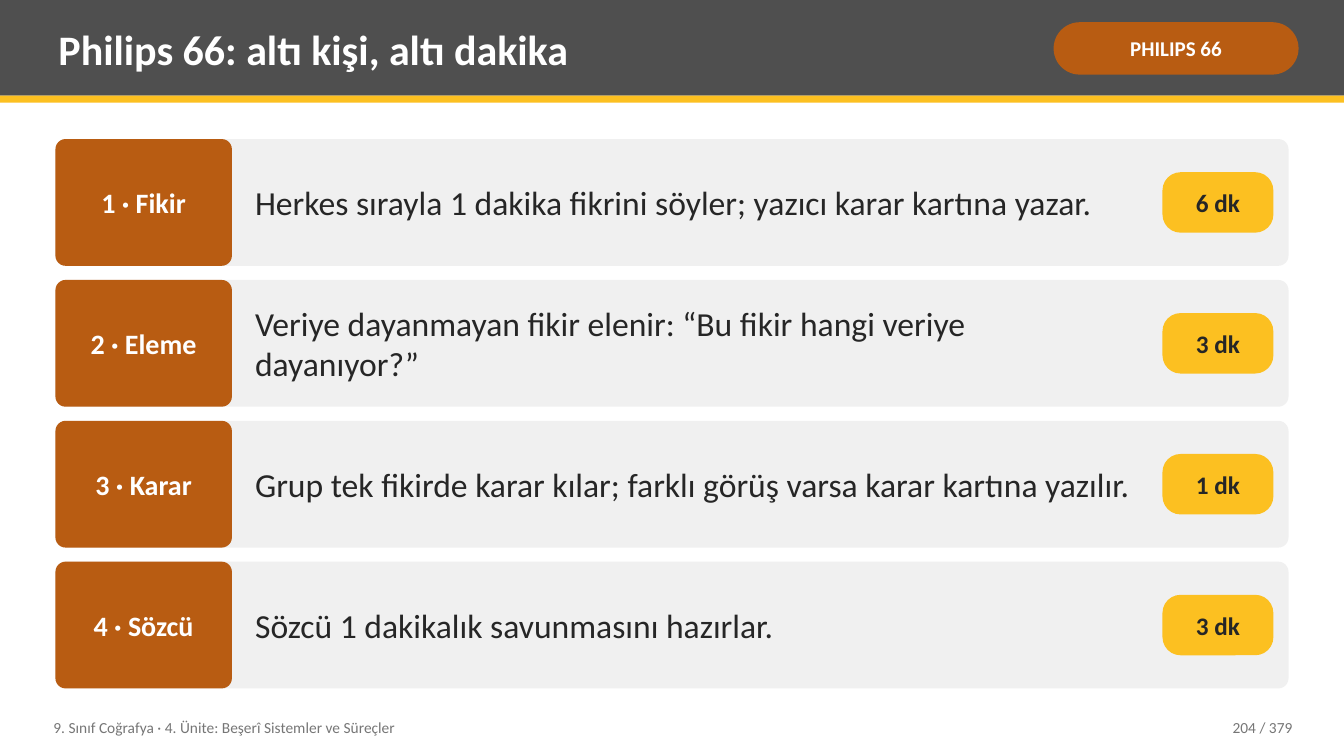
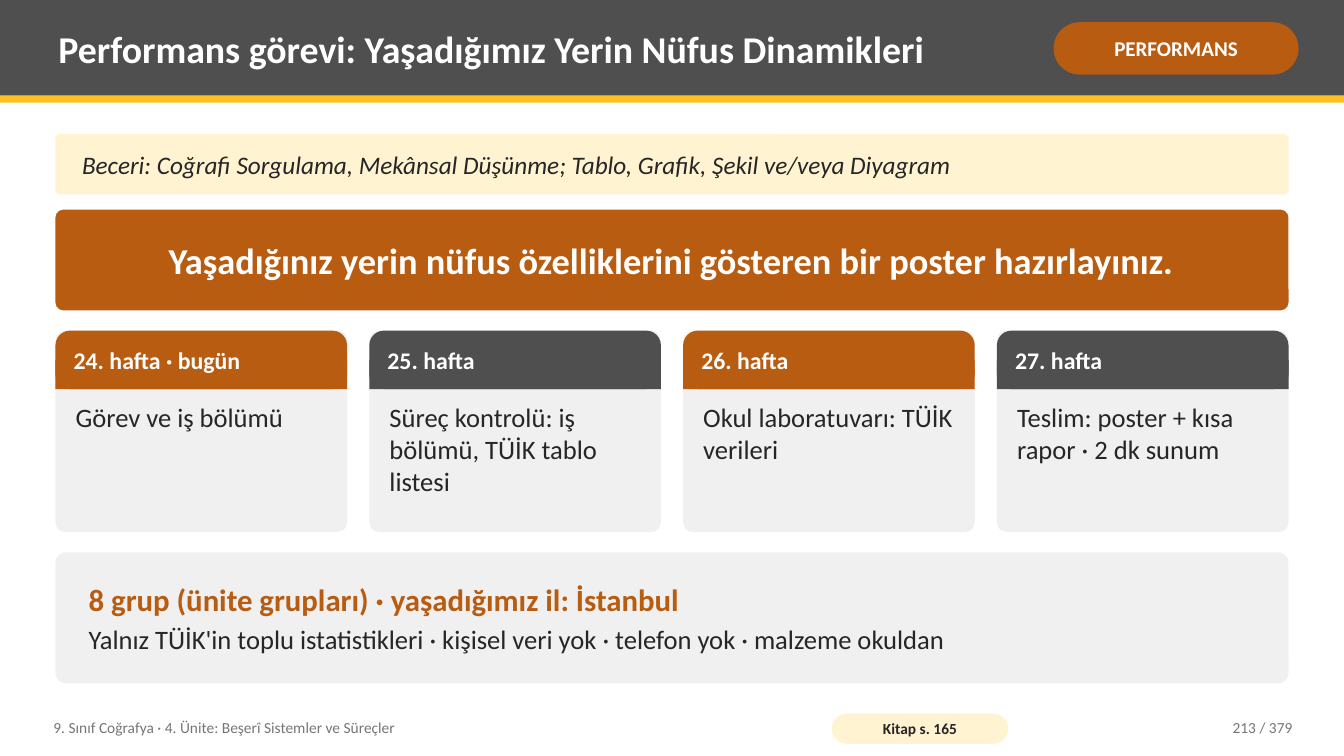
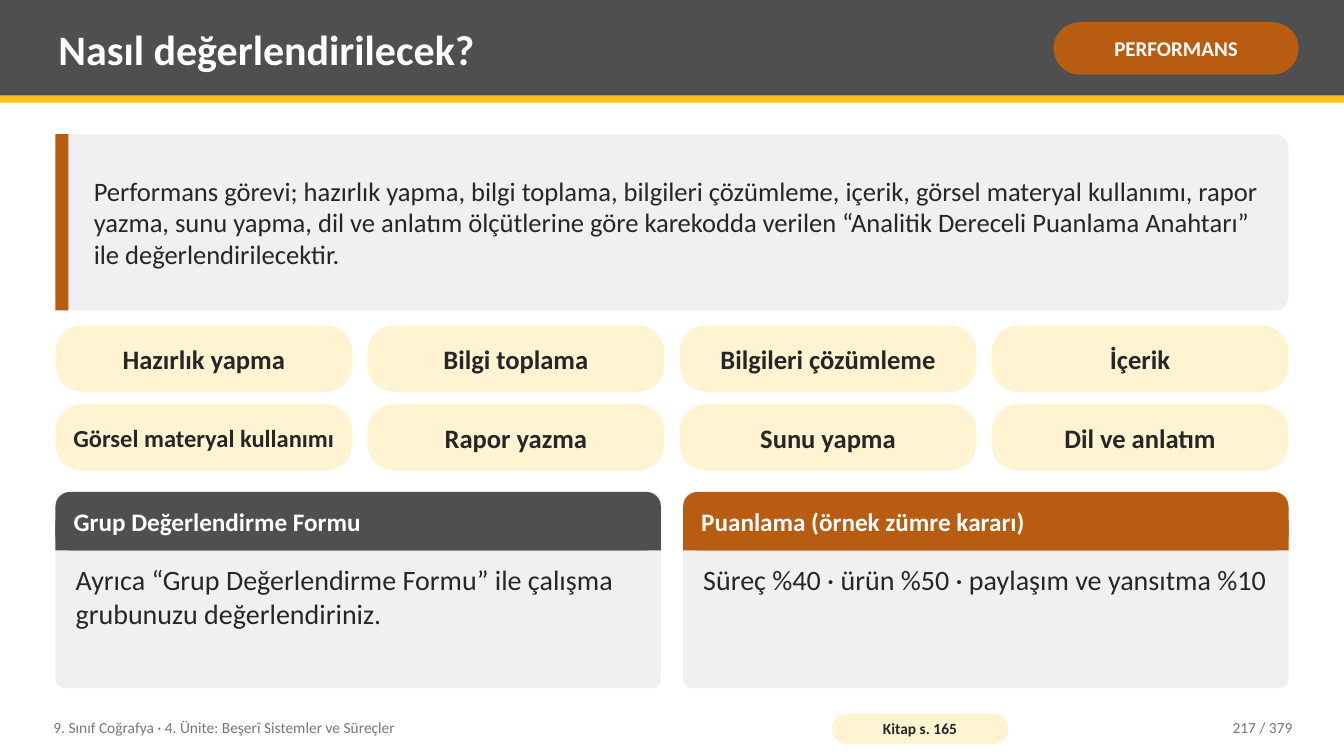
"""Builds three geography lesson slides: a timed discussion, a performance task and its assessment."""
from pptx import Presentation
from pptx.dml.color import RGBColor
from pptx.enum.shapes import MSO_SHAPE
from pptx.enum.text import MSO_ANCHOR, PP_ALIGN
from pptx.util import Inches, Pt

FONT = "Calibri"
GREY, ORANGE, YELLOW, CREAM = "4F4F4F", "B85C12", "FCC021", "FFF3D1"
PANEL, INK, MUTED, WHITE = "F0F0F0", "262626", "767676", "FFFFFF"
SLIDE_WIDTH, LEFT, WIDTH = 13.33, 0.55, 12.23
COURSE = "9. Sınıf Coğrafya · 4. Ünite: Beşerî Sistemler ve Süreçler"
PAGE_TOTAL = 379

DISCUSSION = {"title": "Philips 66: altı kişi, altı dakika", "tag": "PHILIPS 66", "page": 204}
STEPS = [
    ("1 · Fikir", "Herkes sırayla 1 dakika fikrini söyler; yazıcı karar kartına yazar.", "6 dk"),
    ("2 · Eleme", "Veriye dayanmayan fikir elenir: “Bu fikir hangi veriye dayanıyor?”", "3 dk"),
    ("3 · Karar", "Grup tek fikirde karar kılar; farklı görüş varsa karar kartına yazılır.", "1 dk"),
    ("4 · Sözcü", "Sözcü 1 dakikalık savunmasını hazırlar.", "3 dk"),
]

TASK = {"title": "Performans görevi: Yaşadığımız Yerin Nüfus Dinamikleri", "title_size": 27,
        "tag": "PERFORMANS", "page": 213, "book": "Kitap s. 165"}
SKILLS = "Beceri: Coğrafi Sorgulama, Mekânsal Düşünme; Tablo, Grafik, Şekil ve/veya Diyagram"
ASSIGNMENT = "Yaşadığınız yerin nüfus özelliklerini gösteren bir poster hazırlayınız."
WEEKS = [
    ("24. hafta · bugün", "Görev ve iş bölümü", ORANGE),
    ("25. hafta", "Süreç kontrolü: iş bölümü, TÜİK tablo listesi", GREY),
    ("26. hafta", "Okul laboratuvarı: TÜİK verileri", ORANGE),
    ("27. hafta", "Teslim: poster + kısa rapor · 2 dk sunum", GREY),
]
GROUPS = "8 grup (ünite grupları) · yaşadığımız il: İstanbul"
RULES = "Yalnız TÜİK'in toplu istatistikleri · kişisel veri yok · telefon yok · malzeme okuldan"

ASSESSMENT = {"title": "Nasıl değerlendirilecek?", "tag": "PERFORMANS", "page": 217,
              "book": "Kitap s. 165"}
RUBRIC = ("Performans görevi; hazırlık yapma, bilgi toplama, bilgileri çözümleme, içerik, "
          "görsel materyal kullanımı, rapor yazma, sunu yapma, dil ve anlatım ölçütlerine göre "
          "karekodda verilen “Analitik Dereceli Puanlama Anahtarı” ile değerlendirilecektir.")
CRITERIA = [
    ("Hazırlık yapma", 19), ("Bilgi toplama", 19), ("Bilgileri çözümleme", 19), ("İçerik", 19),
    ("Görsel materyal kullanımı", 17.5), ("Rapor yazma", 19), ("Sunu yapma", 19),
    ("Dil ve anlatım", 19),
]
FORMS = [
    ("Grup Değerlendirme Formu",
     "Ayrıca “Grup Değerlendirme Formu” ile çalışma grubunuzu değerlendiriniz.", GREY),
    ("Puanlama (örnek zümre kararı)", "Süreç %40 · ürün %50 · paylaşım ve yansıtma %10", ORANGE),
]


def rgb(value):
    """Return the colour for a hex string."""
    return RGBColor.from_string(value)


def spread(start, length, count, gap):
    """Return the starts of equal parts and their common size."""
    size = (length - gap * (count - 1)) / count
    return [start + i * (size + gap) for i in range(count)], size


def style(paragraph, text, size, color, bold=False, italic=False, align=PP_ALIGN.LEFT):
    """Write a paragraph in one style."""
    paragraph.text = text
    paragraph.alignment = align
    font = paragraph.font
    font.name, font.size, font.bold, font.italic = FONT, Pt(size), bold, italic
    font.color.rgb = rgb(color)


def set_frame(shape, inset, anchor=MSO_ANCHOR.MIDDLE):
    """Set wrapping, insets and anchor of a text frame and return it."""
    frame = shape.text_frame
    frame.word_wrap = True
    frame.margin_left = frame.margin_right = Inches(inset[0])
    frame.margin_top = frame.margin_bottom = Inches(inset[1])
    frame.vertical_anchor = anchor
    return frame


def add_panel(slide, at, fill, radius=None):
    """Add a plain filled rectangle, rounded when a radius is given."""
    kind = MSO_SHAPE.RECTANGLE if radius is None else MSO_SHAPE.ROUNDED_RECTANGLE
    panel = slide.shapes.add_shape(kind, *map(Inches, at))
    if radius is not None:
        panel.adjustments[0] = radius
    panel.shadow.inherit = False
    panel.fill.solid()
    panel.fill.fore_color.rgb = rgb(fill)
    panel.line.fill.background()
    return panel


def add_label(slide, at, fill, radius, text, size, color=INK, inset=(0.06, 0.08),
              bold=True, italic=False, align=PP_ALIGN.CENTER):
    """Add a rounded panel holding one line of text."""
    frame = set_frame(add_panel(slide, at, fill, radius), inset)
    style(frame.paragraphs[0], text, size, color, bold, italic, align)


def add_text(slide, at, text, size, color=INK, bold=False, align=PP_ALIGN.LEFT,
             anchor=MSO_ANCHOR.MIDDLE):
    """Add a wrapped text box."""
    frame = set_frame(slide.shapes.add_textbox(*map(Inches, at)), (0.08, 0.04), anchor)
    style(frame.paragraphs[0], text, size, color, bold, align=align)


def add_cards(slide, cards, top, height, head_size, body_size):
    """Add a row of cards with coloured heads."""
    head = 0.58
    lefts, width = spread(LEFT, WIDTH, len(cards), 0.22)
    for left, (heading, body, color) in zip(lefts, cards):
        add_panel(slide, (left, top, width, height), PANEL, 0.05)
        add_panel(slide, (left, top, width, head), color, 0.25)
        add_panel(slide, (left, top + head / 2, width, head / 2), color)
        add_text(slide, (left + 0.1, top, width - 0.2, head), heading, head_size, WHITE, True)
        add_text(slide, (left + 0.12, top + head + 0.08, width - 0.24, height - head - 0.16),
                 body, body_size, anchor=MSO_ANCHOR.TOP)


def add_lesson_slide(deck, lesson):
    """Add a slide with the shared title band, tag and footer."""
    slide = deck.slides.add_slide(deck.slide_layouts[6])
    add_panel(slide, (0, 0, SLIDE_WIDTH, 0.95), GREY)
    add_panel(slide, (0, 0.95, SLIDE_WIDTH, 0.07), YELLOW)
    add_text(slide, (0.5, 0.07, 9.75, 0.82), lesson["title"], lesson.get("title_size", 30),
             WHITE, True)
    add_label(slide, (10.45, 0.22, 2.43, 0.52), ORANGE, 0.5, lesson["tag"], 15, WHITE,
              (0.05, 0.02))
    add_text(slide, (0.45, 7.04, 7.6, 0.36), COURSE, 11, MUTED)
    if "book" in lesson:
        add_label(slide, (8.25, 7.08, 1.75, 0.3), CREAM, 0.5, lesson["book"], 11,
                  inset=(0.04, 0))
    add_text(slide, (11.3, 7.04, 1.6, 0.36), f"{lesson['page']} / {PAGE_TOTAL}", 11, MUTED,
             align=PP_ALIGN.RIGHT)
    return slide


def build_discussion(deck):
    """Build the four timed discussion steps."""
    slide = add_lesson_slide(deck, DISCUSSION)
    tops, height = spread(1.38, 5.45, len(STEPS), 0.14)
    for top, (step, instruction, minutes) in zip(tops, STEPS):
        add_panel(slide, (LEFT, top, WIDTH, height), PANEL, 0.08)
        add_label(slide, (LEFT, top, 1.75, height), ORANGE, 0.08, step, 20, WHITE)
        add_text(slide, (2.45, top, 8.88, height), instruction, 24)
        add_label(slide, (11.53, top + (height - 0.6) / 2, 1.1, 0.6), YELLOW, 0.3, minutes, 18,
                  inset=(0.03, 0))


def build_task(deck):
    """Build the poster task with its weekly plan."""
    slide = add_lesson_slide(deck, TASK)
    add_label(slide, (LEFT, 1.33, WIDTH, 0.6), CREAM, 0.08, SKILLS, 18, inset=(0.25, 0.08),
              bold=False, italic=True, align=PP_ALIGN.LEFT)
    add_label(slide, (LEFT, 2.08, WIDTH, 1), ORANGE, 0.08, ASSIGNMENT, 26, WHITE, (0.3, 0.08))
    add_cards(slide, WEEKS, 3.28, 2, 17, 19)
    frame = set_frame(add_panel(slide, (LEFT, 5.48, WIDTH, 1.3), PANEL, 0.08), (0.3, 0.08))
    style(frame.paragraphs[0], GROUPS, 22, ORANGE, True)
    frame.paragraphs[0].space_after = Pt(4)
    style(frame.add_paragraph(), RULES, 19, INK)


def build_assessment(deck):
    """Build the rubric, its criteria and the scoring cards."""
    slide = add_lesson_slide(deck, ASSESSMENT)
    add_panel(slide, (LEFT, 1.33, WIDTH, 1.75), PANEL, 0.08)
    add_panel(slide, (LEFT, 1.33, 0.13, 1.75), ORANGE)
    add_text(slide, (0.85, 1.33, 11.78, 1.75), RUBRIC, 19)
    lefts, width = spread(LEFT, WIDTH, 4, 0.15)
    for i, (criterion, size) in enumerate(CRITERIA):
        row, column = divmod(i, 4)
        add_label(slide, (lefts[column], 3.23 + row * 0.78, width, 0.66), CREAM, 0.4,
                  criterion, size)
    add_cards(slide, FORMS, 4.88, 1.95, 18, 20)


def main():
    """Build and save the deck."""
    deck = Presentation()
    deck.slide_width, deck.slide_height = Inches(SLIDE_WIDTH), Inches(7.5)
    build_discussion(deck)
    build_task(deck)
    build_assessment(deck)
    deck.save("out.pptx")


if __name__ == "__main__":
    main()
